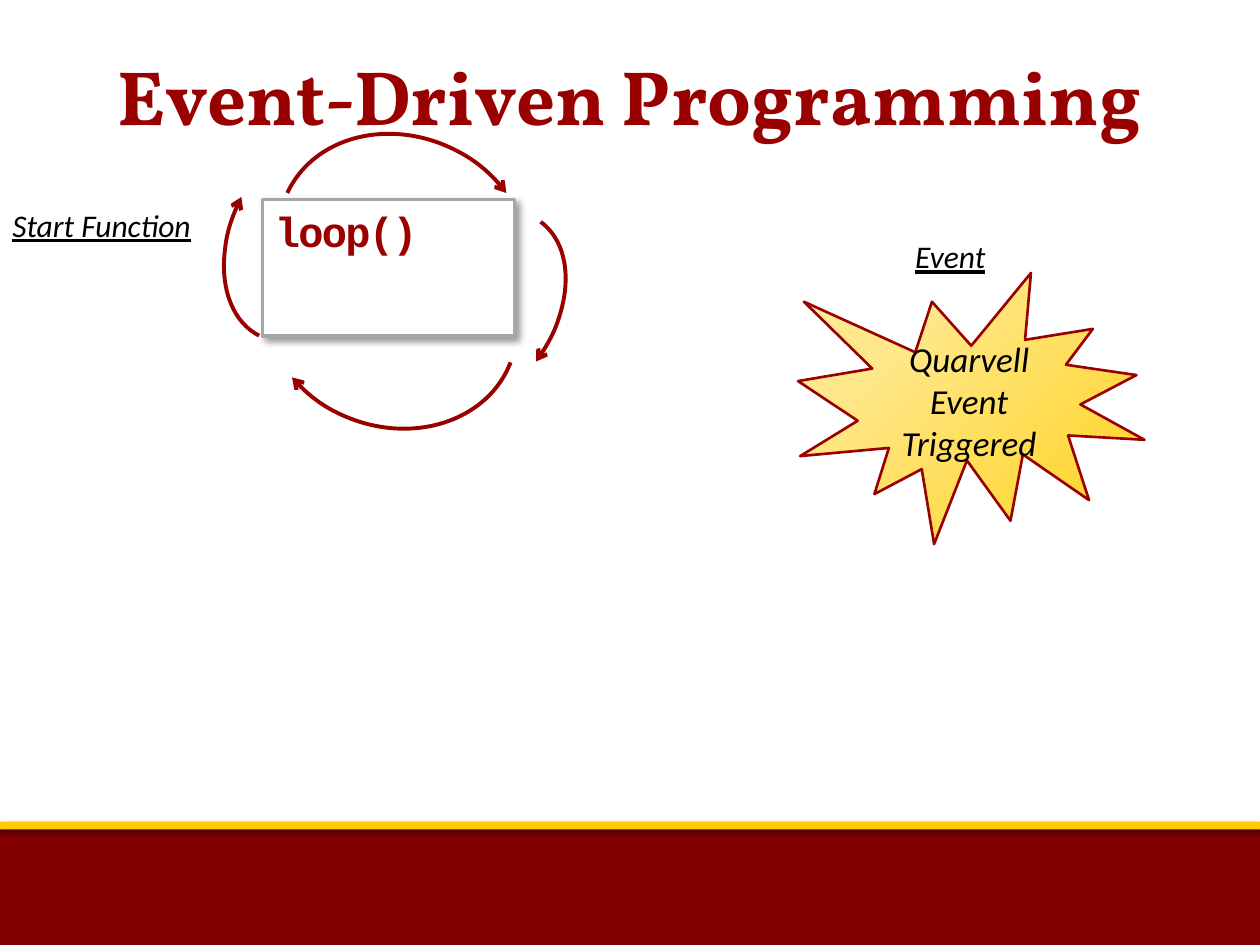
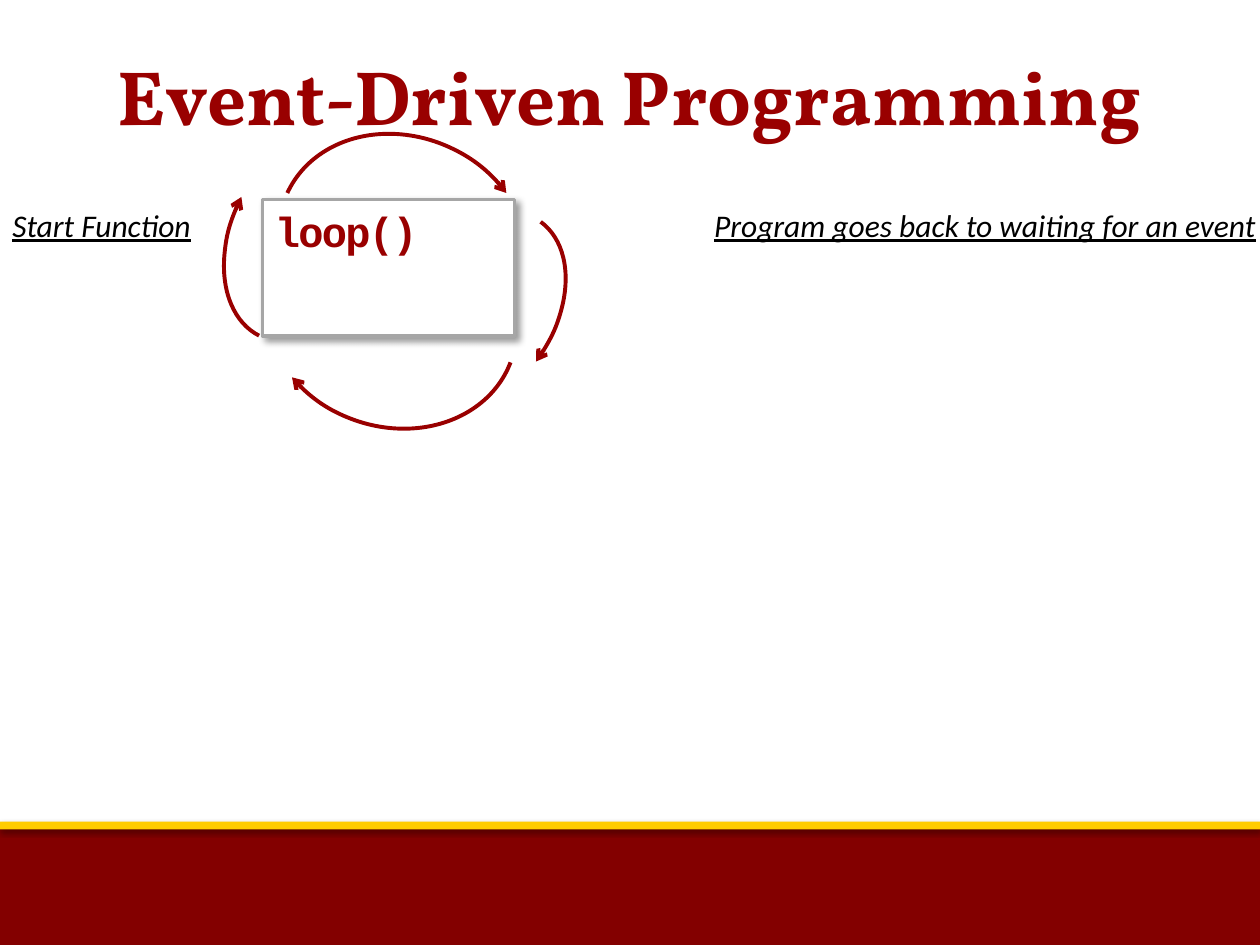
from lxml import etree
from pptx import Presentation
from pptx.dml.color import RGBColor
from pptx.enum import shapes as kinds, text as txt
from pptx.oxml import parse_xml
from pptx.oxml.ns import nsdecls, qn
from pptx.util import Pt

HUES = {
    "red": "990000", "band": "830000", "gold": "FFCC00", "gray": "A6A6A6",
    "white": "FFFFFF", "black": "000000",
}
KIND = kinds.MSO_SHAPE
TITLE = "Event-Driven Programming"
TITLE_BOX = (9, 9, 702, 90)

# box, fill, shadow (opacity %, blur, distance, angle)
BANDS = [
    ((0, 473, 720, 67), "band", (35, 3.1, 1.8, 90)),
    ((0, 469.5, 720, 4.5), "gold", (38, 3.1, 1.6, 90)),
]
LOOP = ("loop()", (150, 114, 144, 78), (40, 4, 3, 45))
START = ("Start Function", (0, 114, 150, 30), False)

# box, turn in degrees, end adjustment
SIDE, WIDE = 0, 22.504
ARCS = [
    ((225, 114, 90, 132), 36.2, SIDE),
    ((133, 67, 90, 132), 207, SIDE),
    ((168.5, 67.5, 125, 147), 294.7, WIDE),
    ((160.5, 107.5, 125, 147), 110.8, WIDE),
]
BURST = ("Quarvell Event Triggered", (456, 156, 198, 155))
GLOW = [(0, "FFD11A"), (74, "FFE88C"), (83, "FFE88C"), (100, "FFF0B2")]

# each slide: label text, box, centred, and whether the burst shows
SLIDES = [
    (("Event", (450, 132, 186, 66), True), BURST),
    (("Program goes back to waiting for an event", (401, 114, 330, 90), False), None),
]


def rgb(hue):
    return RGBColor.from_string(HUES[hue])


def pts(box):
    return [Pt(side) for side in box]


def write(shape, words, face, size, hue, center=False, anchor="TOP", **marks):
    """Set the words of a shape; marks are font flags such as bold."""
    frame = shape.text_frame
    frame.word_wrap = True
    frame.auto_size = txt.MSO_AUTO_SIZE.NONE
    frame.vertical_anchor = txt.MSO_ANCHOR[anchor]
    frame.text = words
    para = frame.paragraphs[0]
    para.alignment = txt.PP_ALIGN.CENTER if center else txt.PP_ALIGN.LEFT
    font = para.font
    font.name, font.size = face, Pt(size)
    font.color.rgb = rgb(hue)
    for mark, state in marks.items():
        setattr(font, mark, state)
    return para


def draw(slide, kind, box, fill=None, line=None, width=1):
    shape = slide.shapes.add_shape(kind, *pts(box))
    shape.shadow.inherit = False
    if fill:
        shape.fill.solid()
        shape.fill.fore_color.rgb = rgb(fill)
    else:
        shape.fill.background()
    if line:
        shape.line.color.rgb = rgb(line)
        shape.line.width = Pt(width)
    else:
        shape.line.fill.background()
    return shape


def shade(shape, alpha, blur, dist, angle):
    """Give a shape a soft black drop shadow."""
    shape.element.spPr.find(qn("a:effectLst")).append(parse_xml(
        f'<a:outerShdw {nsdecls("a")} blurRad="{Pt(blur)}" dist="{Pt(dist)}" '
        f'dir="{angle * 60000}" algn="ctr" rotWithShape="0">'
        f'<a:srgbClr val="{HUES["black"]}"><a:alpha val="{alpha * 1000}"/>'
        '</a:srgbClr></a:outerShdw>'))


def glow(shape):
    """Fill a shape with a gradient that spreads from its lower right corner."""
    stops = "".join(f'<a:gs pos="{pos * 1000}"><a:srgbClr val="{hue}"/></a:gs>'
                    for pos, hue in GLOW)
    props = shape.element.spPr
    props.replace(props.find(qn("a:noFill")), parse_xml(
        f'<a:gradFill {nsdecls("a")} rotWithShape="1"><a:gsLst>{stops}</a:gsLst>'
        '<a:path path="circle"><a:fillToRect l="100000" t="100000"/></a:path>'
        '</a:gradFill>'))


def label(slide, words, box, center):
    area = slide.shapes.add_textbox(*pts(box))
    write(area, words, "Calibri", 18, "black", center, italic=True, underline=True)


def cycle(slide):
    """Draw the loop box and the arrows that circle it."""
    words, box, shadow = LOOP
    block = draw(slide, KIND.RECTANGLE, box, "white", "gray", 2)
    shade(block, *shadow)
    write(block, words, "Courier New", 24, "red", bold=True)
    for props in block.element.iter(qn("a:defRPr")):
        props.set("spc", "-100")
    label(slide, *START)
    for box, turn, end in ARCS:
        arc = draw(slide, KIND.ARC, box, line="red", width=2.25)
        arc.rotation = turn
        arc.adjustments[1] = end
        line = arc.element.spPr.find(qn("a:ln"))
        etree.SubElement(line, qn("a:tailEnd"), type="arrow")


def burst(slide, words, box):
    star = draw(slide, KIND.EXPLOSION1, box, line="red", width=1.5)
    glow(star)
    para = write(star, words, "Calibri", 20, "black", True, "MIDDLE", italic=True)
    para.space_after = Pt(10)


def share_bands(slide, layout):
    """Draw the foot bands and hand them to the layout."""
    for box, fill, shadow in BANDS:
        band = draw(slide, KIND.RECTANGLE, box, fill)
        shade(band, *shadow)
        layout.shapes.element.append(band.element)


def main():
    deck = Presentation()
    deck.slide_width, deck.slide_height = Pt(720), Pt(540)
    layout = deck.slide_layouts[5]
    for note, star in SLIDES:
        slide = deck.slides.add_slide(layout)
        if len(deck.slides) == 1:
            share_bands(slide, layout)
        head = slide.shapes.title
        head.left, head.top, head.width, head.height = pts(TITLE_BOX)
        write(head, TITLE, "Vollkorn", 44, "red", True, "MIDDLE", bold=True)
        cycle(slide)
        label(slide, *note)
        if star:
            burst(slide, *star)
    deck.save("out.pptx")


if __name__ == "__main__":
    main()
